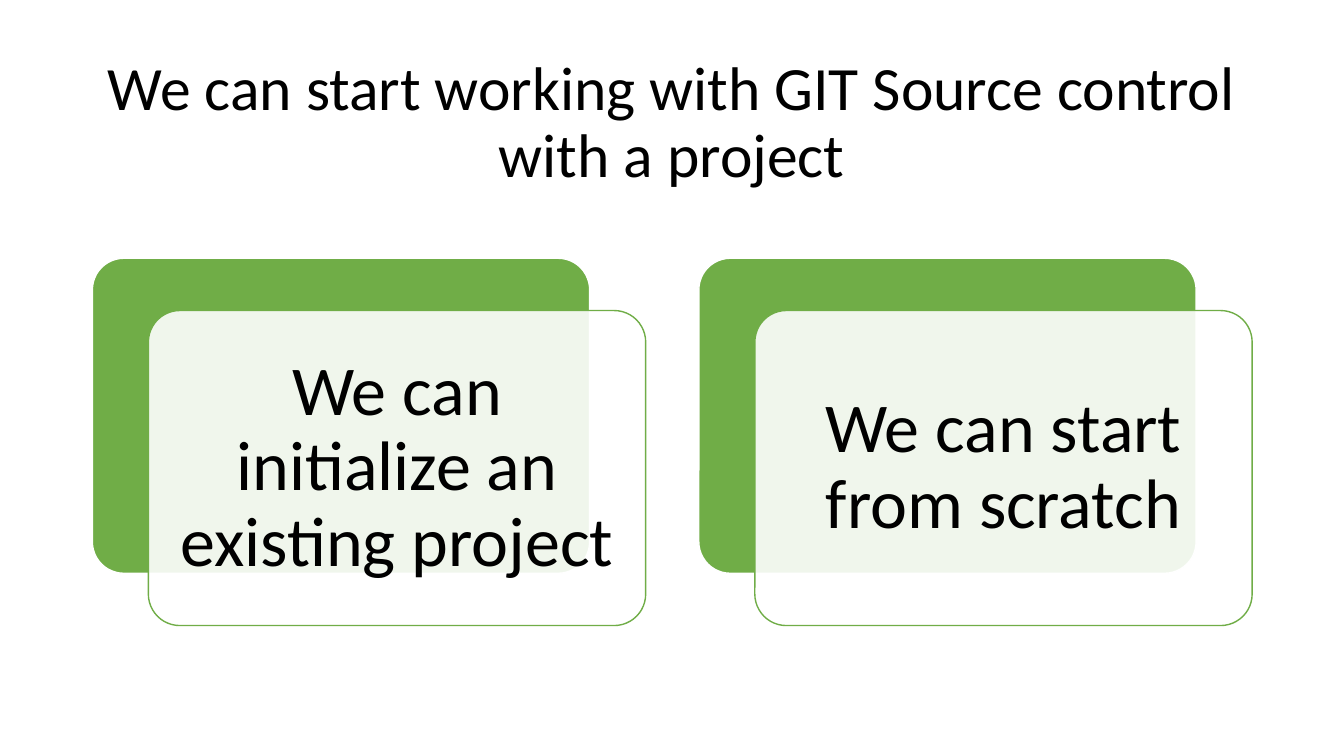
from dataclasses import dataclass

from lxml.etree import SubElement
from pptx import Presentation
from pptx.dml.color import RGBColor as Color
from pptx.enum.shapes import MSO_SHAPE as Shape
from pptx.enum.text import MSO_ANCHOR as Anchor, PP_ALIGN as Align
from pptx.oxml.ns import qn
from pptx.util import Inches, Pt


@dataclass(frozen=True)
class Theme:
    font: str = "Calibri"
    ink: Color = Color.from_string("000000")
    paper: Color = Color.from_string("FFFFFF")
    accent: Color = Color.from_string("70AD47")
    title_size: int = 44
    card_size: int = 50
    line_width: int = 1
    card_opacity: int = 90
    card_corner: float = 0.1
    card_inset: float = 0.21


def apply(target, values):
    for name, value in values.items():
        setattr(target, name, value)


class SlideBuilder:
    COLUMNS = 24
    ROWS = 24

    def __init__(self, presentation, theme):
        self.theme = theme
        self.column = presentation.slide_width / self.COLUMNS
        self.row = presentation.slide_height / self.ROWS
        self.slide = presentation.slides.add_slide(presentation.slide_layouts[6])

    def place(self, left, top, width, height):
        return (round(left * self.column), round(top * self.row),
                round(width * self.column), round(height * self.row))

    def label(self, shape, text, size):
        frame = shape.text_frame
        apply(frame, {"word_wrap": True, "vertical_anchor": Anchor.MIDDLE})
        paragraph = frame.paragraphs[0]
        apply(paragraph, {"text": text, "alignment": Align.CENTER, "line_spacing": 0.9})
        apply(paragraph.font, {"name": self.theme.font, "size": Pt(size)})
        paragraph.font.color.rgb = self.theme.ink

    def title(self, text, *area):
        box = self.slide.shapes.add_textbox(*self.place(*area))
        self.label(box, text, self.theme.title_size)

    def panel(self, area, fill, line):
        panel = self.slide.shapes.add_shape(Shape.ROUNDED_RECTANGLE, *self.place(*area))
        panel.adjustments[0] = self.theme.card_corner
        panel.shadow.inherit = False
        panel.fill.solid()
        panel.fill.fore_color.rgb = fill
        panel.line.color.rgb = line
        panel.line.width = Pt(self.theme.line_width)
        return panel

    def card(self, text, left, top, width, height, shift_x, shift_y):
        theme = self.theme
        self.panel((left, top, width, height), theme.accent, theme.paper)
        front = self.panel((left + shift_x, top + shift_y, width, height),
                           theme.paper, theme.accent)
        color = front.element.spPr.find(qn("a:solidFill")).find(qn("a:srgbClr"))
        SubElement(color, qn("a:alpha"), val=str(theme.card_opacity * 1000))
        inset = Inches(theme.card_inset)
        sides = ("left", "top", "right", "bottom")
        apply(front.text_frame, {f"margin_{side}": inset for side in sides})
        self.label(front, text, theme.card_size)


def main():
    presentation = Presentation()
    apply(presentation, {"slide_width": Inches(13.33), "slide_height": Inches(7.5)})
    builder = SlideBuilder(presentation, Theme())
    margin, pitch = 1.65, 10.83
    builder.title("We can start working with GIT Source control with a project",
                  margin, 1.95, 20.7, 3.97)
    options = ("We can initialize an existing project", "We can start from scratch")
    for index, option in enumerate(options):
        builder.card(option, margin + index * pitch, 8.2, 8.88, 10, 1, 1.66)
    presentation.save("out.pptx")


if __name__ == "__main__":
    main()
